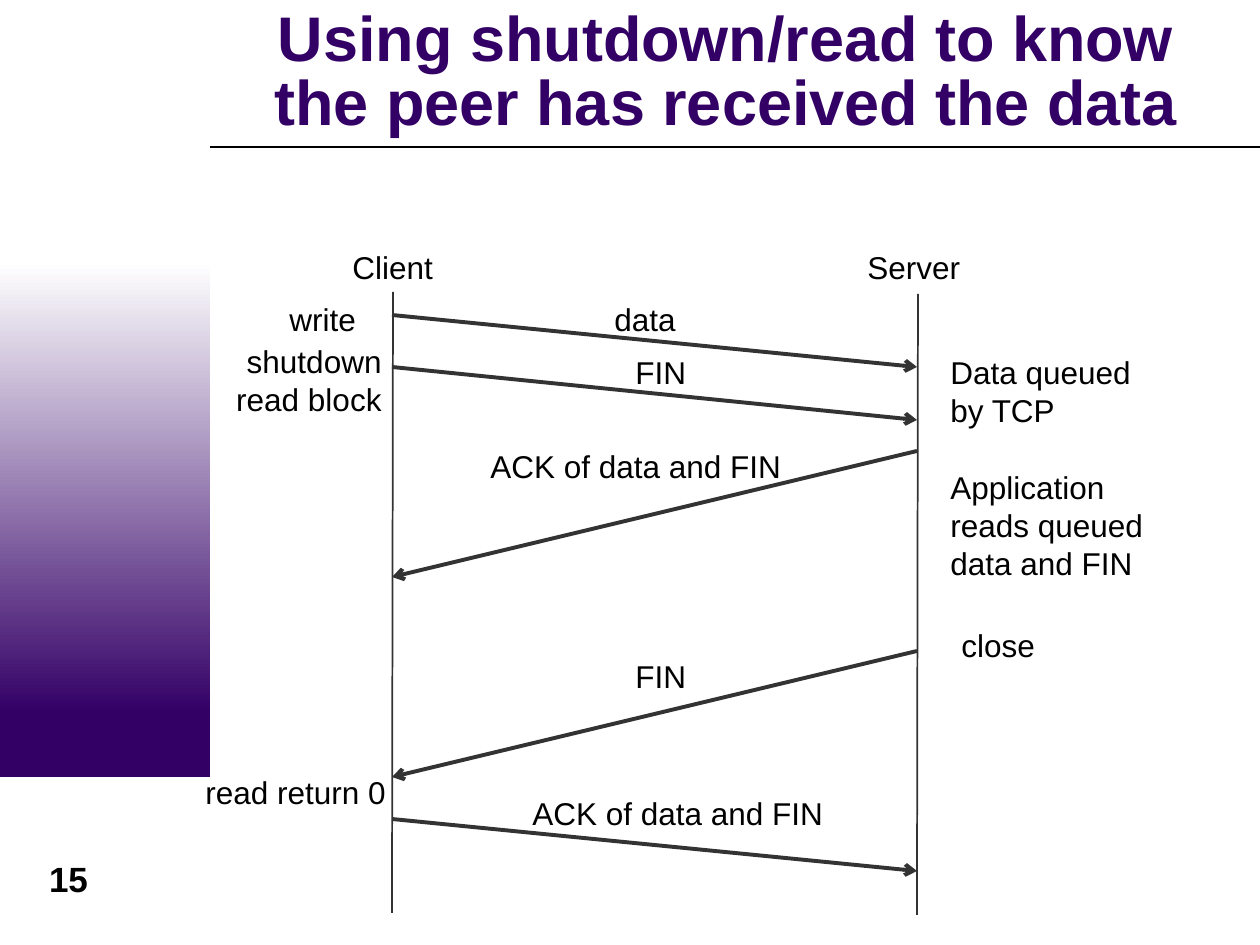
from lxml.etree import SubElement
from pptx import Presentation
from pptx.dml.color import RGBColor
from pptx.enum.shapes import MSO_CONNECTOR, MSO_SHAPE
from pptx.enum.text import MSO_ANCHOR, MSO_AUTO_SIZE, PP_ALIGN
from pptx.oxml.ns import qn
from pptx.util import Pt

PX = 914400 / 126
PURPLE, GREY, BLACK, WHITE = "330066", "333333", "000000", "FFFFFF"
CLIENT_X, SERVER_X = 392, 917

TITLE = "Using shutdown/read to know the peer has received the data"
LIFELINES = [(CLIENT_X, 292, 913), (SERVER_X, 294, 915)]
# (from side, start y, end y, label, label box)
MESSAGES = [
    ("client", 315, 367, "data", (602, 294, 88, 50)),
    ("client", 367, 420, "FIN", (623, 347, 78, 50)),
    ("server", 451, 577, "ACK of data and FIN", (478, 441, 317, 50)),
    ("server", 651, 777, "FIN", (623, 651, 78, 50)),
    ("client", 819, 871, "ACK of data and FIN", (520, 788, 317, 50)),
]
LABELS = [
    ("Client", (340, 242, 108, 50)),
    ("Server", (855, 242, 119, 50)),
    ("close", (949, 620, 100, 50)),
    ("write", (277, 294, 94, 50)),
    ("read return 0", (193, 767, 207, 50)),
]
SERVER_NOTES = [
    ("Data queued by TCP", (938, 347, 227, 88)),
    ("Application reads queued data and FIN", (938, 462, 221, 126)),
]
CLIENT_CALLS = ("shutdown\nread block", (222, 336, 172, 126))


def px(n):
    return round(n * PX)


def color(value):
    return RGBColor.from_string(value)


def add_text(s, text, box, size=18, fill=BLACK, bold=False, wrap=False,
             align=PP_ALIGN.LEFT):
    """Add a text box, grown to its text unless it wraps, and return its frame."""
    tf = s.shapes.add_textbox(*map(px, box)).text_frame
    tf.word_wrap = wrap
    tf.auto_size = MSO_AUTO_SIZE.NONE if wrap else MSO_AUTO_SIZE.SHAPE_TO_FIT_TEXT
    tf.text = text
    for p in tf.paragraphs:
        p.alignment = align
        for r in p.runs:
            r.font.name, r.font.size, r.font.bold = "Arial", Pt(size), bold
            r.font.color.rgb = color(fill)
    return tf


def add_line(s, x1, y1, x2, y2, width, stroke=GREY, arrow=False):
    """Add a straight line, with an optional arrowhead at its end."""
    ln = s.shapes.add_connector(MSO_CONNECTOR.STRAIGHT, *map(px, (x1, y1, x2, y2)))
    ln.line.width = Pt(width)
    ln.line.color.rgb = color(stroke)
    if arrow:
        SubElement(ln.line._get_or_add_ln(), qn("a:tailEnd"), type="arrow")
    SubElement(ln._element.spPr, qn("a:effectLst"))


def add_band(s, y, h):
    """Add a side band without outline or shadow and return its fill."""
    sp = s.shapes.add_shape(MSO_SHAPE.RECTANGLE, 0, px(y), px(210), px(h))
    sp.shadow.inherit = False
    sp.line.fill.background()
    return sp.fill


def add_frame(s):
    """Add the side bands, title rule, page number and title."""
    fill = add_band(s, 693, 84)
    fill.solid()
    fill.fore_color.rgb = color(PURPLE)
    fill = add_band(s, 262, 451)
    fill.gradient()
    fill.gradient_angle = 270
    for stop, value, pos in zip(fill.gradient_stops, (WHITE, PURPLE), (0, 1)):
        stop.color.rgb = color(value)
        stop.position = pos
    add_line(s, 210, 147, 1260, 147, 0.75, BLACK)
    add_text(s, "15", (21, 851, 95, 55), 20, bold=True, wrap=True,
             align=PP_ALIGN.CENTER)
    tf = add_text(s, TITLE, (227, 14, 998, 121), 36, PURPLE, True, True,
                  PP_ALIGN.CENTER)
    tf.vertical_anchor = MSO_ANCHOR.MIDDLE
    tf.margin_top = tf.margin_bottom = 0
    tf.paragraphs[0].line_spacing = 0.85


def main():
    prs = Presentation()
    prs.slide_width, prs.slide_height = px(1260), px(945)
    s = prs.slides.add_slide(prs.slide_layouts[6])
    add_frame(s)
    for x, top, bottom in LIFELINES:
        add_line(s, x + 1, top, x, bottom, 1)
    for side, y1, y2, label, box in MESSAGES:
        ends = (CLIENT_X, SERVER_X) if side == "client" else (SERVER_X, CLIENT_X)
        add_line(s, ends[0], y1, ends[1], y2, 2.25, arrow=True)
        add_text(s, label, box)
    for text, box in LABELS:
        add_text(s, text, box)
    for text, box in SERVER_NOTES:
        add_text(s, text, box, wrap=True)
    add_text(s, *CLIENT_CALLS, align=PP_ALIGN.RIGHT)
    prs.save("out.pptx")


if __name__ == "__main__":
    main()
